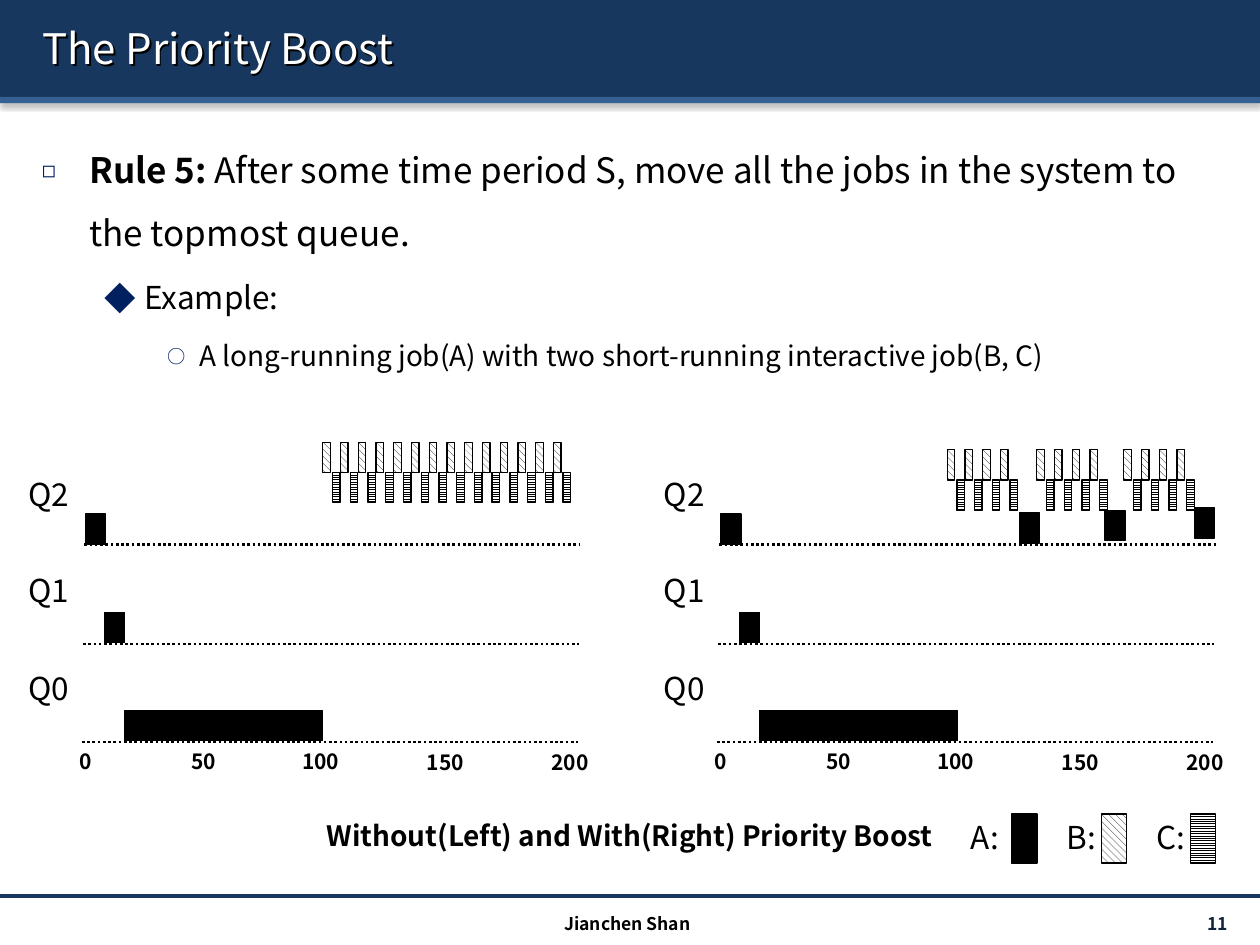
"""Build the slide comparing scheduling queues without and with priority boost."""
from lxml import etree
from pptx import Presentation
from pptx import util as u
from pptx.dml import color as c
from pptx.enum import dml, shapes, text
from pptx.oxml import ns

Pt = u.Pt
FONT = "Noto Sans CJK KR"
STRIPED = dml.MSO_PATTERN.WIDE_DOWNWARD_DIAGONAL
RULED = dml.MSO_PATTERN.LIGHT_HORIZONTAL
CENTER, RIGHT, LEFT = text.PP_ALIGN.CENTER, text.PP_ALIGN.RIGHT, text.PP_ALIGN.LEFT
SHADOW = (
    f'<a:outerShdw {ns.nsdecls("a")} blurRad="%d" dist="%d" dir="%d" algn="t" rotWithShape="0">'
    '<a:srgbClr val="000000"><a:alpha val="%d"/></a:srgbClr></a:outerShdw>'
)


def write(words, size, para=None, home=None, at=None, color="000000", bold=False,
          align=LEFT, anchor=text.MSO_ANCHOR.TOP):
    """Add a formatted span to a paragraph, or to a new text box in home."""
    if para is None:
        box = home.shapes.add_textbox(*map(Pt, at))
        box.text_frame.word_wrap = False
        box.text_frame.vertical_anchor = anchor
        para = box.text_frame.paragraphs[0]
        para.alignment = align
    span = para.add_run()
    span.text = words
    span.font.name, span.font.size, span.font.bold = FONT, Pt(size), bold
    span.font.color.rgb = c.RGBColor.from_string(color)


def block(home, left, top, width=11.5, height=17.3, color="000000", pattern=None, outline=True):
    """Add a rectangle with a solid or patterned fill."""
    shape = home.shapes.add_shape(shapes.MSO_SHAPE.RECTANGLE, Pt(left), Pt(top), Pt(width), Pt(height))
    shape.shadow.inherit = False
    if pattern:
        shape.fill.patterned()
        shape.fill.pattern = pattern
        shape.fill.back_color.rgb = c.RGBColor.from_string("FFFFFF")
    else:
        shape.fill.solid()
    shape.fill.fore_color.rgb = c.RGBColor.from_string(color)
    if outline:
        shape.line.color.rgb = c.RGBColor.from_string("000000")
        shape.line.width = Pt(0.75)
    else:
        shape.line.fill.background()
    return shape


deck = Presentation()
deck.slide_width, deck.slide_height = Pt(720), Pt(540)
page = deck.slides.add_slide(deck.slide_layouts[5])

for top, height, color in ((0, 55.4, "17375E"), (55.4, 3.6, "376092")):
    band = block(page, 0, top, 720, height, color, outline=False)
    effects = band.element.spPr.find(ns.qn("a:effectLst"))
    effects.append(etree.fromstring(SHADOW % (Pt(3.1), Pt(1.6), 5400000, 38000)))

title = page.shapes.title
band.element.addnext(title.element)
title.left, title.top, title.width, title.height = Pt(16.9), Pt(4.3), Pt(692), Pt(46)
title.text_frame.vertical_anchor = text.MSO_ANCHOR.MIDDLE
heading = title.text_frame.paragraphs[0]
heading.alignment = LEFT
write("The Priority Boost", 24, heading, color="FFFFFF")
title.fill.background()
effects = etree.SubElement(title.element.spPr, ns.qn("a:effectLst"))
effects.append(etree.fromstring(SHADOW % (0, Pt(1.5), 2700000, 100000)))

body = page.shapes.add_textbox(Pt(16.9), Pt(69.1), Pt(692), Pt(433.4))
body.text_frame.word_wrap = True
rules = (
    ("◻", 65, 27, 27, 20, (("Rule 5:", True),
     (" After some time period S, move all the jobs in the system to the topmost queue.", False))),
    ("◆", 100, 58.5, 22.5, 18, (("Example:", False),)),
    ("○", 65, 90, 18, 16,
     (("A long-running job(A) with two short-running interactive job(B, C)", False),)),
)
for level, (bullet, scale, margin, hang, size, spans) in enumerate(rules):
    para = body.text_frame.paragraphs[0] if level == 0 else body.text_frame.add_paragraph()
    para.level = level
    para.line_spacing = 1.5
    for words, bold in spans:
        write(words, size, para, bold=bold)
    layout = para._p.get_or_add_pPr()
    layout.set("marL", str(Pt(margin)))
    layout.set("indent", str(-Pt(hang)))
    before = etree.SubElement(layout, ns.qn("a:spcBef"))
    etree.SubElement(before, ns.qn("a:spcPct"), val="20000")
    tint = etree.SubElement(layout, ns.qn("a:buClr"))
    etree.SubElement(tint, ns.qn("a:srgbClr"), val="002060")
    etree.SubElement(layout, ns.qn("a:buSzPct"), val=str(scale * 1000))
    etree.SubElement(layout, ns.qn("a:buFont"), typeface=FONT)
    etree.SubElement(layout, ns.qn("a:buChar"), char=bullet)

write("11 ", 10, home=page, at=(627, 519, 84.2, 17.3), color="0F243E", bold=True,
      align=RIGHT, anchor=text.MSO_ANCHOR.MIDDLE)
write("Jianchen Shan", 10, home=page, at=(239, 518.4, 239, 17.3), bold=True, align=CENTER)

queues = (("Q2", 267.8, 48.2, 311), ("Q1", 322.6, 47.5, 368), ("Q0", 378.7, 46.8, 424.1))
ticks = (("0", 46.8, 17.3, 424.1), ("50", 116.3, 33.8, 424.1), ("100", 183.2, 43.9, 424.1),
         ("150", 254.5, 43.9, 424.8), ("200", 325.8, 43.9, 424.8))
long_runs = ((49, 293.8, 11.5), (59.8, 349.9, 11.5), (71.3, 406.1, 113))
boosts = ((219.6, 293), (268.5, 291.6), (319.7, 290.2))
charts = (
    (0, 252.7, ((184.5, 14),), ()),
    (362.9, 257, ((178.4, 4), (229.6, 4), (279.3, 4)), boosts),
)
lines = [(page, 0, 720, 511.9, "17375E", 2, None)]
for shift, burst_top, bursts, boosted in charts:
    chart = page.shapes.add_group_shape()
    for name, top, start, base in queues:
        write(name, 18, home=chart, at=(shift - 2.9, top, 49.7, 28.8), align=RIGHT)
        lines.append((chart, shift + start, shift + start + 283.5, base, "000000", 1.5,
                      dml.MSO_LINE.ROUND_DOT))
    for name, middle, width, top in ticks:
        write(name, 12, home=chart, at=(shift + middle - width / 2, top, width, 21.6),
              bold=True, align=CENTER)
    for left, top, width in long_runs:
        block(chart, shift + left, top, width)
    for start, count in bursts:
        for turn in range(count):
            left = shift + start + turn * 10.14
            block(chart, left, burst_top, 4.3, pattern=STRIPED)
            block(chart, left + 5.5, burst_top + 17.3, 4.3, pattern=RULED)
    for left, top in boosted:
        block(chart, shift + left, top)

for home, start, end, top, color, weight, dash in lines:
    rule = home.shapes.add_connector(shapes.MSO_CONNECTOR.STRAIGHT, Pt(start), Pt(top), Pt(end), Pt(top))
    rule.line.color.rgb = c.RGBColor.from_string(color)
    rule.line.width = Pt(weight)
    rule.line.dash_style = dash
    etree.SubElement(rule.element.spPr, ns.qn("a:effectLst"))

write("Without(Left) and With(Right) Priority Boost", 16, home=page,
      at=(139, 464.4, 442, 26.6), bold=True, align=CENTER)

legend = page.shapes.add_group_shape()
keys = (("A: ", 544.3, 41, None), ("B:", 601.2, 33.8, STRIPED), ("C:", 652.3, 33.8, RULED))
for order, (name, left, width, pattern) in enumerate(keys):
    write(name, 18, home=legend, at=(left, 463.7, width, 28.8), align=CENTER)
    block(legend, 578.2 + order * 51.1, 465.1, 14.4, 28.1, pattern=pattern)

deck.save("out.pptx")
